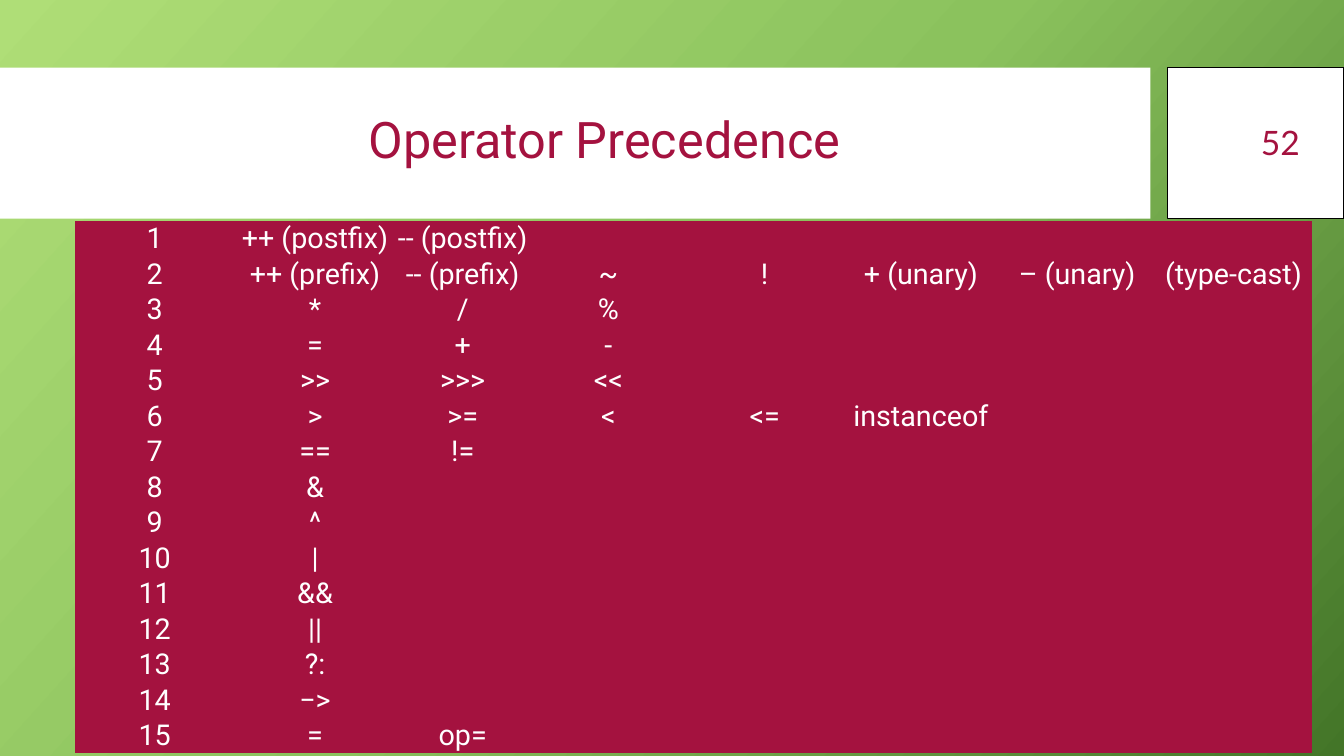
from copy import deepcopy

from pptx import Presentation
from pptx.dml.color import RGBColor
from pptx.enum.shapes import MSO_SHAPE as Shape
from pptx.enum.text import MSO_ANCHOR as Anchor, PP_ALIGN as Align
from pptx.oxml.ns import qn
from pptx.util import Inches, Pt

COLORS = {"white": "FFFFFF", "black": "000000", "crimson": "A4123F"}
BACKDROP = [(0, "AFDE77"), (0.5, "8BC25D"), (1, "437528")]
NO_GRID_STYLE = "{2D5ABB26-0587-4C30-8999-92F81FD0307C}"

SLIDE_W, SLIDE_H = 13.33, 7.5
BAND_TOP, BAND_H = 0.67, 1.5
PAGE_BOX_LEFT = 11.58
TEXT_TOP, TEXT_H = 0.82, 1.18
TABLE_LEFT, TABLE_TOP = 0.74, 2.19
COLUMN_WIDTHS = [1.59, 1.59, 1.34] + [1.55] * 5
ROW_H = 0.34

OPERATORS_BY_LEVEL = [
    ["++ (postfix)", "-- (postfix)"],
    ["++ (prefix)", "-- (prefix)", "~", "!", "+ (unary)", "– (unary)", "(type-cast)"],
    ["*", "/", "%"],
    ["=", "+", "-"],
    [">>", ">>>", "<<"],
    [">", ">=", "<", "<=", "instanceof"],
    ["==", "!="],
    ["&"],
    ["^"],
    ["|"],
    ["&&"],
    ["||"],
    ["?:"],
    ["−>"],
    ["=", "op="],
]


def color(name):
    return RGBColor.from_string(COLORS[name])


def paint_backdrop(slide):
    fill = slide.background.fill
    fill.gradient()
    fill.gradient_angle = 318
    stop_list = slide.element.find(".//" + qn("a:gsLst"))
    stop_list.append(deepcopy(stop_list[0]))
    for stop, (position, shade) in zip(fill.gradient_stops, BACKDROP):
        stop.position = position
        stop.color.rgb = RGBColor.from_string(shade)


def add_band(slide, left, width, outlined=False):
    band = slide.shapes.add_shape(
        Shape.RECTANGLE, Inches(left), Inches(BAND_TOP), Inches(width), Inches(BAND_H))
    band.shadow.inherit = False
    band.fill.solid()
    band.fill.fore_color.rgb = color("white")
    if outlined:
        band.line.color.rgb = color("black")
        band.line.width = Pt(1)
    else:
        band.line.fill.background()


def write(paragraph, text, size, font, ink, align):
    paragraph.alignment = align
    run = paragraph.add_run()
    run.text = text
    run.font.size = Pt(size)
    run.font.name = font
    run.font.color.rgb = color(ink)


def add_heading(slide, left, width, text, size, font, align, spacing=1.0):
    frame = slide.shapes.add_textbox(
        Inches(left), Inches(TEXT_TOP), Inches(width), Inches(TEXT_H)).text_frame
    frame.word_wrap = True
    frame.vertical_anchor = Anchor.MIDDLE
    frame.paragraphs[0].line_spacing = spacing
    write(frame.paragraphs[0], text, size, font, "crimson", align)


def fill_cell(cell, text):
    cell.fill.solid()
    cell.fill.fore_color.rgb = color("crimson")
    cell.vertical_anchor = Anchor.MIDDLE
    cell.margin_left = cell.margin_right = cell.margin_top = Inches(0.01)
    cell.margin_bottom = 0
    if text:
        write(cell.text_frame.paragraphs[0], text, 20.5, "Roboto", "white", Align.CENTER)


def add_precedence_table(slide):
    row_count, column_count = len(OPERATORS_BY_LEVEL), len(COLUMN_WIDTHS)
    frame = slide.shapes.add_table(
        row_count, column_count, Inches(TABLE_LEFT), Inches(TABLE_TOP),
        Inches(sum(COLUMN_WIDTHS)), Inches(ROW_H * row_count))
    table = frame.table
    table.first_row = table.horz_banding = False
    frame.element.find(".//" + qn("a:tableStyleId")).text = NO_GRID_STYLE
    for column, width in zip(table.columns, COLUMN_WIDTHS):
        column.width = Inches(width)
    for level, (row, operators) in enumerate(zip(table.rows, OPERATORS_BY_LEVEL), 1):
        row.height = Inches(ROW_H)
        texts = [str(level)] + operators
        texts += [""] * (column_count - len(texts))
        for cell, text in zip(row.cells, texts):
            fill_cell(cell, text)


def main():
    deck = Presentation()
    deck.slide_width, deck.slide_height = Inches(SLIDE_W), Inches(SLIDE_H)
    slide = deck.slides.add_slide(deck.slide_layouts[6])
    paint_backdrop(slide)
    add_band(slide, 0, 11.41)
    add_band(slide, PAGE_BOX_LEFT, SLIDE_W - PAGE_BOX_LEFT, outlined=True)
    add_heading(slide, TABLE_LEFT, 10.51, "Operator Precedence", 36, "Roboto",
                Align.CENTER, spacing=0.9)
    add_heading(slide, 11.73, 1.26, "52", 24, "Lato", Align.RIGHT)
    add_precedence_table(slide)
    deck.save("out.pptx")


if __name__ == "__main__":
    main()
